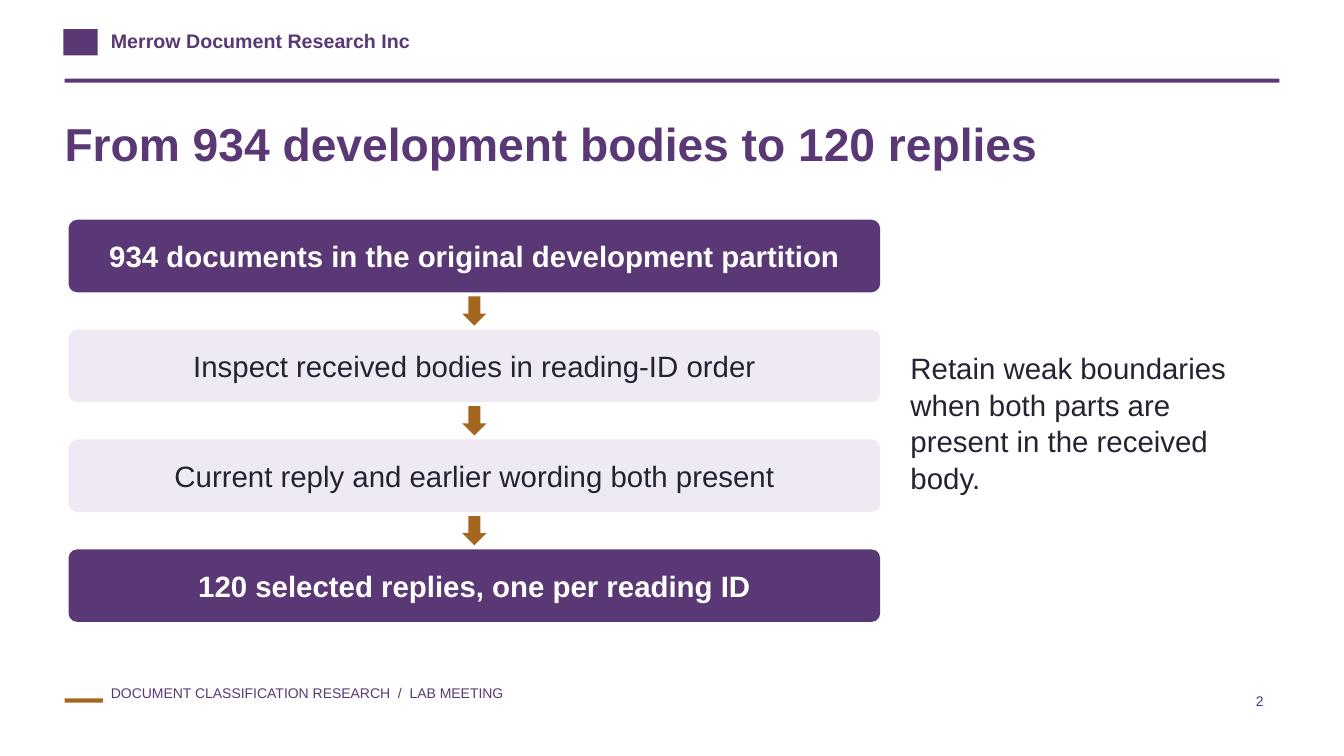
from pptx import Presentation
from pptx import util as u
from pptx.dml import color
from pptx.enum import shapes, text

COLOURS = {
    "purple": "593875",
    "ochre": "A56720",
    "lilac": "EFE9F4",
    "ink": "242331",
    "white": "FFFFFF",
}
WIDTH, HEIGHT = u.Inches(13.33), u.Inches(7.5)
COLUMNS, ROWS = 133.3, 75


def rgb(name):
    return color.RGBColor.from_string(COLOURS[name])


def write_text(frame, wording, *, size, colour="purple", bold=False,
               align=text.PP_ALIGN.LEFT, anchor=text.MSO_ANCHOR.TOP,
               spacing=1.0, font="Arial"):
    frame.word_wrap = True
    frame.vertical_anchor = anchor
    paragraph = frame.paragraphs[0]
    paragraph.alignment = align
    paragraph.line_spacing = spacing
    run = paragraph.add_run()
    run.text = wording
    run.font.name = font
    run.font.size = u.Pt(size)
    run.font.bold = bold
    run.font.color.rgb = rgb(colour)


class SlideBuilder:
    def __init__(self, presentation):
        self.slide = presentation.slides.add_slide(presentation.slide_layouts[6])
        self.column = WIDTH / COLUMNS
        self.row = HEIGHT / ROWS

    def place(self, left, top, width, height):
        return (round(left * self.column), round(top * self.row),
                round(width * self.column), round(height * self.row))

    def block(self, *area, fill, kind=shapes.MSO_SHAPE.RECTANGLE):
        shape = self.slide.shapes.add_shape(kind, *self.place(*area))
        shape.shadow.inherit = False
        shape.fill.solid()
        shape.fill.fore_color.rgb = rgb(fill)
        shape.line.fill.background()
        return shape

    def label(self, wording, *area, inset=False, **style):
        frame = self.slide.shapes.add_textbox(*self.place(*area)).text_frame
        if not inset:
            frame.margin_left = frame.margin_right = 0
            frame.margin_top = frame.margin_bottom = 0
        write_text(frame, wording, **style)

    def step(self, wording, *area, strong):
        shape = self.block(*area, fill="purple" if strong else "lilac",
                           kind=shapes.MSO_SHAPE.ROUNDED_RECTANGLE)
        shape.adjustments[0] = 0.12
        write_text(shape.text_frame, wording, size=21, bold=strong,
                   colour="white" if strong else "ink",
                   align=text.PP_ALIGN.CENTER, anchor=text.MSO_ANCHOR.MIDDLE)

    def flow(self, steps, left, top, width, height, pitch):
        arrow_width, arrow_height = 2.4, 2.9
        arrow_left = left + (width - arrow_width) / 2
        arrow_offset = (pitch + height - arrow_height) / 2
        last = len(steps) - 1
        for index, wording in enumerate(steps):
            step_top = top + index * pitch
            self.step(wording, left, step_top, width, height,
                      strong=index in (0, last))
            if index < last:
                self.block(arrow_left, step_top + arrow_offset,
                           arrow_width, arrow_height, fill="ochre",
                           kind=shapes.MSO_SHAPE.DOWN_ARROW)


def main():
    presentation = Presentation()
    presentation.slide_width, presentation.slide_height = WIDTH, HEIGHT
    builder = SlideBuilder(presentation)

    builder.block(6.3, 2.9, 3.4, 2.6, fill="purple")
    builder.label("Merrow Document Research Inc", 11, 2.9, 31, 3,
                  size=14, bold=True)
    builder.block(6.4, 7.8, 120.5, 0.4, fill="purple")
    builder.block(6.4, 69.3, 3.8, 0.4, fill="ochre")
    builder.label("DOCUMENT CLASSIFICATION RESEARCH  /  LAB MEETING",
                  11, 67.9, 43, 3.5, size=10)
    builder.label("2", 118.8, 68.2, 7.5, 3.2, inset=True, size=10,
                  align=text.PP_ALIGN.RIGHT)

    builder.label("From 934 development bodies to 120 replies",
                  6.4, 11.4, 120.4, 8.2, size=33, bold=True)
    builder.label("Retain weak boundaries when both parts are present "
                  "in the received body.",
                  90.3, 34.6, 36.2, 15.5, size=21, colour="ink", spacing=1.04)
    builder.flow(["934 documents in the original development partition",
                  "Inspect received bodies in reading-ID order",
                  "Current reply and earlier wording both present",
                  "120 selected replies, one per reading ID"],
                 left=6.8, top=21.8, width=80.5, height=7.2, pitch=10.9)

    presentation.save("out.pptx")


if __name__ == "__main__":
    main()
